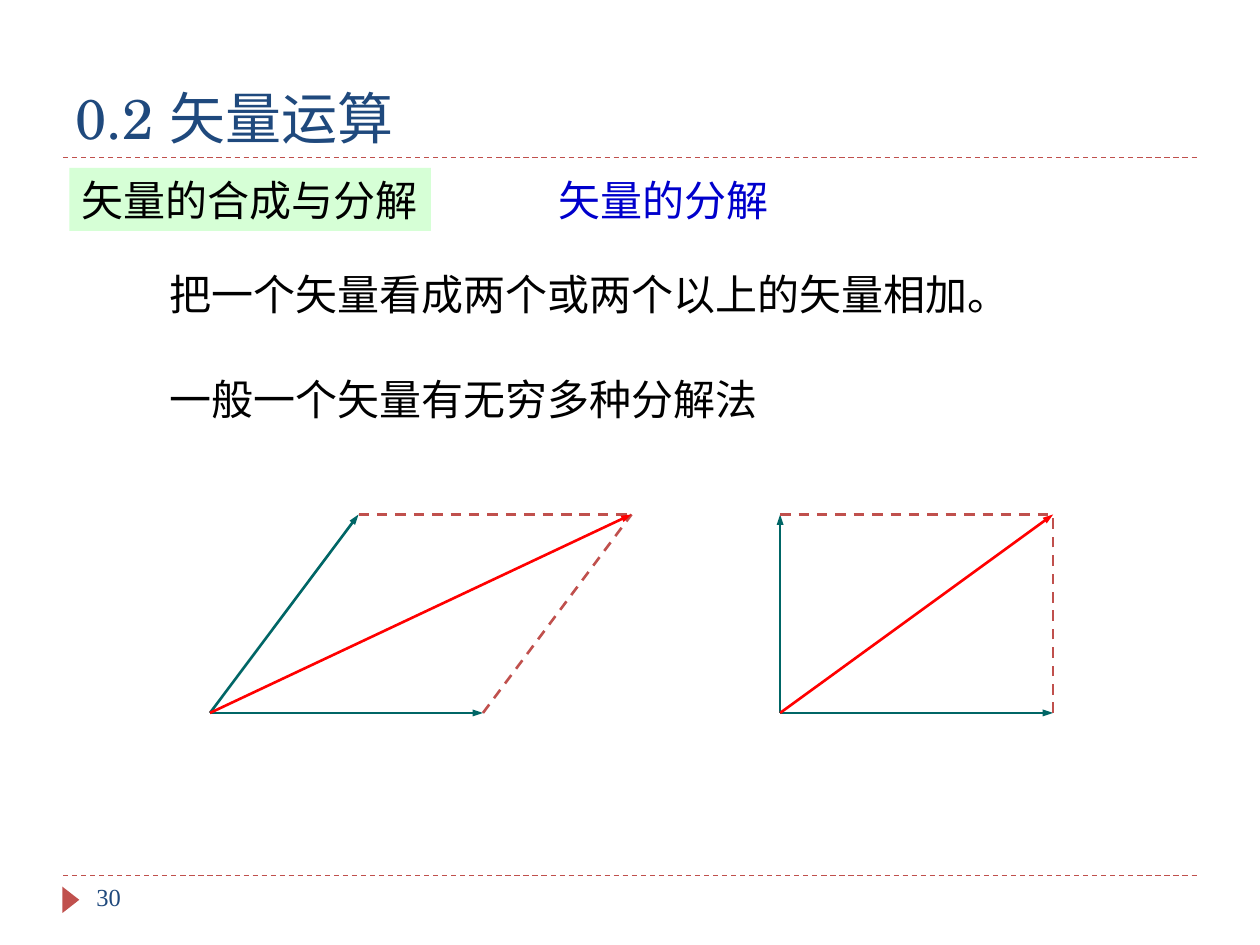
import dataclasses

import lxml.etree
import pptx
import pptx.dml.color
import pptx.enum.dml
import pptx.enum.shapes
import pptx.enum.text
import pptx.oxml.ns
import pptx.util

COLUMNS = 24  # square grid: 24 columns by 18 rows
UNIT = pptx.util.Inches(10) / COLUMNS
SHAPES = pptx.enum.shapes.MSO_SHAPE
ANCHORS = pptx.enum.text.MSO_ANCHOR


@dataclasses.dataclass(frozen=True)
class Theme:
    accent: str = "C0504D"
    heading: str = "1F497D"
    body: str = "000000"
    topic: str = "0000CC"
    label_fill: str = "CCFFCC"
    component: str = "006666"
    resultant: str = "FF0000"
    title_font: str = "TeX Gyre Schola"
    body_font: str = "Times New Roman"
    title_size: int = 32
    body_size: int = 24
    number_size: int = 14
    rule_width: float = 0.75
    vector_width: float = 1.5


THEME = Theme()


@dataclasses.dataclass(frozen=True)
class Box:
    """A region in grid columns and rows."""
    left: float
    top: float
    width: float
    height: float

    def lengths(self):
        return [grid(value) for value in dataclasses.astuple(self)]


def grid(value):
    return round(value * UNIT)


def rgb(code):
    return pptx.dml.color.RGBColor.from_string(code)


def add_child(parent, tag, **attributes):
    return lxml.etree.SubElement(parent, pptx.oxml.ns.qn(tag), **attributes)


def write(shape, text, size, color, font=THEME.body_font, wrap=False, anchor=ANCHORS.TOP):
    frame = shape.text_frame
    frame.text = text
    frame.word_wrap = wrap
    frame.vertical_anchor = anchor
    para = frame.paragraphs[0]
    para.alignment = pptx.enum.text.PP_ALIGN.LEFT
    para.font.size = pptx.util.Pt(size)
    para.font.name = font
    para.font.color.rgb = rgb(color)


def add_line(shapes, start, end, color, width, dashed=False, arrow=False):
    line = shapes.add_connector(pptx.enum.shapes.MSO_CONNECTOR.STRAIGHT,
                                *(grid(value) for value in (*start, *end)))
    line.line.color.rgb = rgb(color)
    line.line.width = pptx.util.Pt(width)
    if dashed:
        line.line.dash_style = pptx.enum.dml.MSO_LINE.DASH
    if arrow:
        add_child(line.line._get_or_add_ln(), "a:tailEnd", type="triangle", w="sm", len="med")
    add_child(line._element.spPr, "a:effectLst")


def add_plain_shape(page, kind, box, color):
    shape = page.shapes.add_shape(kind, *box.lengths())
    shape.shadow.inherit = False
    shape.fill.solid()
    shape.fill.fore_color.rgb = rgb(color)
    shape.line.fill.background()
    return shape


def add_rule(page, box, row):
    add_line(page.shapes, (box.left, row), (box.left + box.width, row),
             THEME.accent, THEME.rule_width, dashed=True)


def add_header(page, box, text):
    title = page.shapes.title
    title.left, title.top, title.width, title.height = box.lengths()
    write(title, text, THEME.title_size, THEME.heading, THEME.title_font,
          wrap=True, anchor=ANCHORS.BOTTOM)
    add_rule(page, box, box.top + box.height)


def add_footer(page, box, number):
    add_rule(page, box, box.top)
    marker = add_plain_shape(page, SHAPES.ISOSCELES_TRIANGLE,
                             Box(box.left - 0.1, box.top + 0.3, 0.5, 0.32), THEME.accent)
    marker.rotation = 90
    number_box = Box(box.left + 0.4, box.top, 5.2, box.height)
    write(page.shapes.add_textbox(*number_box.lengths()), number,
          THEME.number_size, THEME.heading, wrap=True)


def add_label(page, box, text):
    label = add_plain_shape(page, SHAPES.RECTANGLE, box, THEME.label_fill)
    color = label._element.spPr.find(".//" + pptx.oxml.ns.qn("a:srgbClr"))
    add_child(color, "a:alpha", val="80000")
    write(label, text, THEME.body_size, THEME.body, anchor=ANCHORS.MIDDLE)


def add_statement(page, box, text, color=THEME.body):
    write(page.shapes.add_textbox(*box.lengths()), text, THEME.body_size, color)


def add_decomposition(page, box, lean):
    """Draw a parallelogram filling the box, its upper side shifted by lean."""
    right, bottom = box.left + box.width, box.top + box.height
    origin, tip = (box.left, bottom), (right, box.top)
    base, side = (right - lean, bottom), (box.left + lean, box.top)
    shapes = page.shapes.add_group_shape().shapes
    for end in (base, side):
        add_line(shapes, origin, end, THEME.component, THEME.vector_width, arrow=True)
    for start in (base, side):
        add_line(shapes, start, tip, THEME.accent, THEME.vector_width, dashed=True)
    add_line(shapes, origin, tip, THEME.resultant, THEME.vector_width, arrow=True)


def main():
    deck = pptx.Presentation()
    deck.slide_width = pptx.util.Inches(10)
    deck.slide_height = pptx.util.Inches(7.5)
    page = deck.slides.add_slide(deck.slide_layouts[5])

    # Header and footer
    add_header(page, Box(1.2, 0.6, 21.6, 2.4), "0.2 矢量运算")
    add_footer(page, Box(1.2, 16.68, 21.6, 0.96), "30")

    # Topic and statements
    add_label(page, Box(1.32, 3.2, 6.89, 1.2), "矢量的合成与分解")
    add_statement(page, Box(10.4, 3.2, 4.49, 1.2), "矢量的分解", THEME.topic)
    add_statement(page, Box(3, 5, 16.68, 1.2), "把一个矢量看成两个或两个以上的矢量相加。")
    add_statement(page, Box(3, 7, 11.69, 1.2), "一般一个矢量有无穷多种分解法")

    # Oblique and right-angled decompositions
    add_decomposition(page, Box(4, 9.8, 8.03, 3.78), lean=2.83)
    add_decomposition(page, Box(14.86, 9.8, 5.2, 3.78), lean=0)

    deck.save("out.pptx")


if __name__ == "__main__":
    main()
